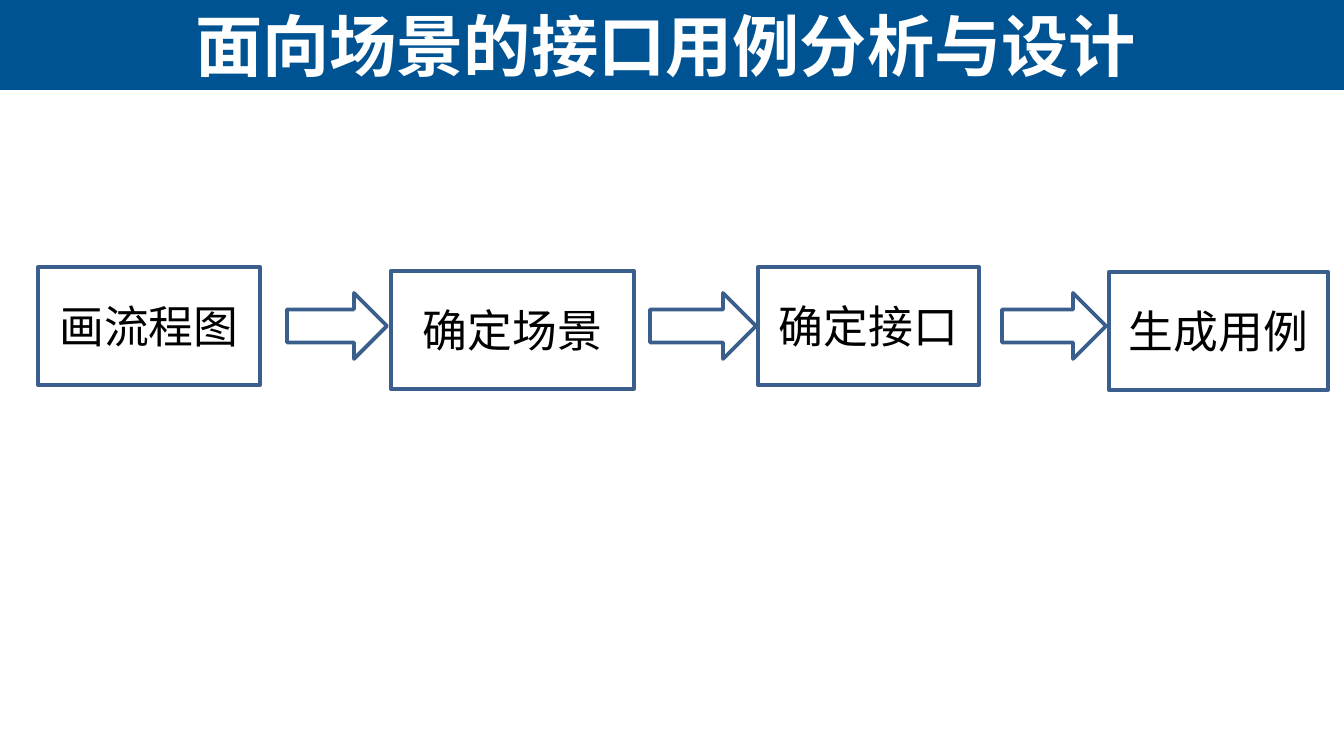
from pptx import Presentation
from pptx import util as u
from pptx.dml.color import RGBColor
from pptx.enum import shapes, text

SCALE = 914400 / 134.4
WIDTH, HEIGHT = 1344, 756
BAND_HEIGHT = 90
STEP_HEIGHT, ARROW_TOP, ARROW_HEIGHT = 118, 293, 66


def px(length):
    """Turn pixels into EMU."""
    return u.Emu(round(length * SCALE))


def color(value):
    """Turn a hex string into a colour."""
    return RGBColor.from_string(value)


class FlowSlide:
    """Holds the style and the current slide."""

    BAND, OUTLINE, INK, PAPER = "005392", "3A5F8C", "000000", "FFFFFF"

    def __init__(self, deck):
        """Add a title-only slide with a plain background."""
        self.slide = deck.slides.add_slide(deck.slide_layouts[5])
        fill = self.slide.background.fill
        fill.solid()
        fill.fore_color.rgb = color(self.PAPER)

    def label(self, frame, words, ink, **font_values):
        """Put centred text in a frame and format its run."""
        frame.word_wrap = True
        frame.vertical_anchor = text.MSO_ANCHOR.MIDDLE
        paragraph = frame.paragraphs[0]
        paragraph.alignment = text.PP_ALIGN.CENTER
        run = paragraph.add_run()
        run.text = words
        run.font.color.rgb = color(ink)
        for name, value in font_values.items():
            setattr(run.font, name, value)

    def shape(self, kind, left, top, width, height):
        """Add an unfilled, outlined preset shape."""
        item = self.slide.shapes.add_shape(
            kind, px(left), px(top), px(width), px(height))
        item.shadow.inherit = False
        item.fill.background()
        item.line.color.rgb = color(self.OUTLINE)
        item.line.width = u.Pt(2)
        return item

    def title(self, words):
        """Place the title over a full-width band."""
        band = self.shape(shapes.MSO_SHAPE.RECTANGLE, 0, 0, WIDTH, BAND_HEIGHT)
        band.fill.solid()
        band.fill.fore_color.rgb = color(self.BAND)
        band.line.fill.background()
        heading = self.slide.shapes.title
        heading._element.addprevious(band._element)
        place = {"left": 2, "top": 0, "width": 1327, "height": BAND_HEIGHT}
        for name, value in place.items():
            setattr(heading, name, px(value))
        self.label(heading.text_frame, words, self.PAPER,
                   size=u.Pt(36), name="Arial", bold=True)

    def step(self, words, left, top, width):
        """Add one labelled step of the flow."""
        box = self.shape(shapes.MSO_SHAPE.RECTANGLE, left, top, width, STEP_HEIGHT)
        self.label(box.text_frame, words, self.INK,
                   size=u.Pt(24), name="Calibri")

    def arrow(self, left, width):
        """Add a block arrow between two steps."""
        self.shape(shapes.MSO_SHAPE.RIGHT_ARROW, left, ARROW_TOP, width, ARROW_HEIGHT)


def main():
    """Build and save the slide."""
    deck = Presentation()
    deck.slide_width, deck.slide_height = px(WIDTH), px(HEIGHT)
    flow = FlowSlide(deck)
    flow.title("面向场景的接口用例分析与设计")
    steps = [("画流程图", 38, 267, 222), ("确定场景", 391, 271, 243),
             ("确定接口", 758, 267, 221), ("生成用例", 1109, 272, 219)]
    for step in steps:
        flow.step(*step)
    for left, width in [(287, 100), (650, 106), (1002, 104)]:
        flow.arrow(left, width)
    deck.save("out.pptx")


main()
